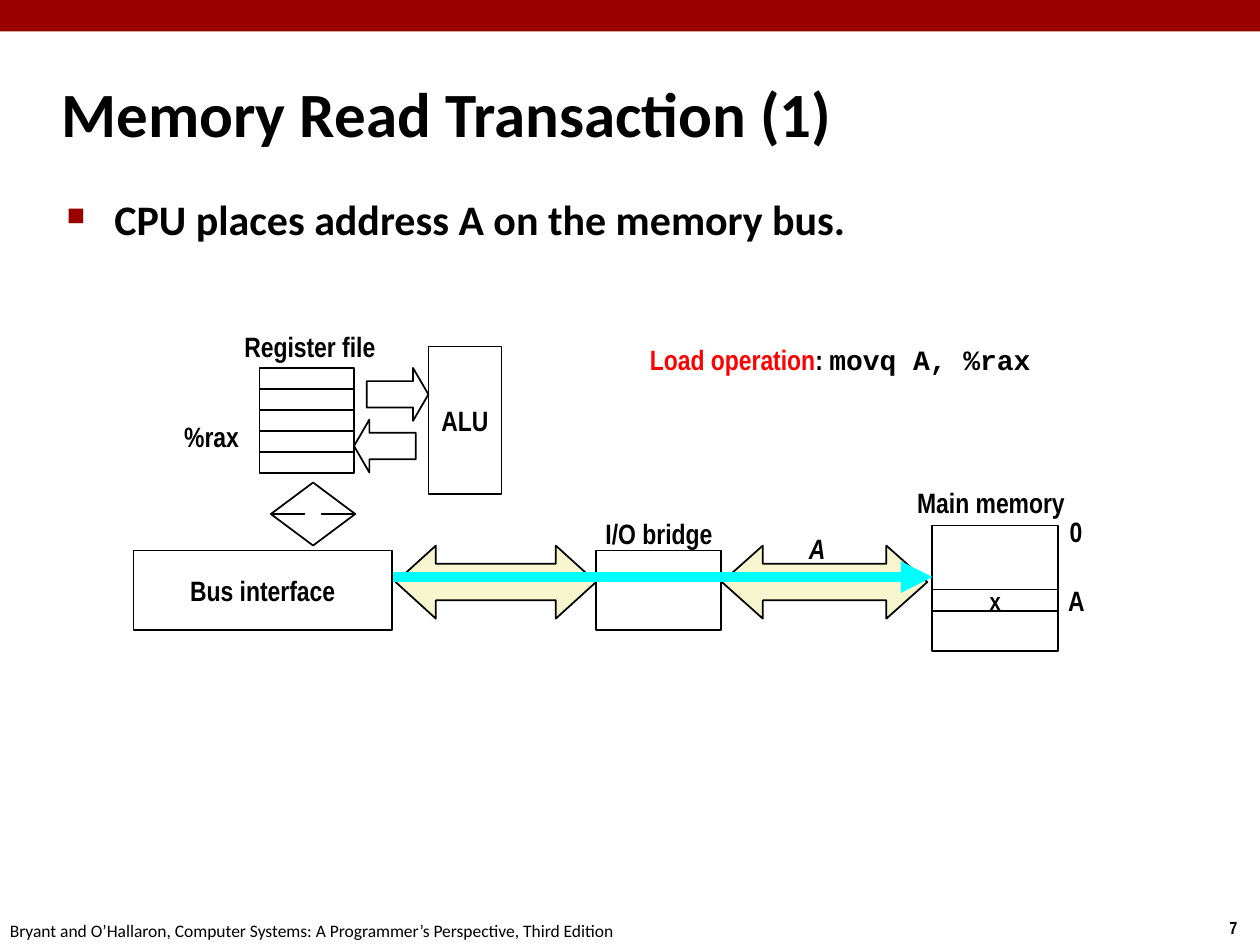
from lxml.etree import SubElement
from pptx import Presentation
from pptx.dml.color import RGBColor
from pptx.enum.shapes import MSO_CONNECTOR, MSO_SHAPE
from pptx.enum.text import MSO_ANCHOR, PP_ALIGN
from pptx.oxml.ns import qn
from pptx.util import Inches, Pt

BLACK, RED, CREAM, CYAN, WHITE = "000000", "990000", "F7F5CD", "00FFFF", "FFFFFF"
NARROW = "Arial Narrow"
LEFT, CENTER = PP_ALIGN.LEFT, PP_ALIGN.CENTER
TOP, MIDDLE = MSO_ANCHOR.TOP, MSO_ANCHOR.MIDDLE

TITLE = "Memory Read Transaction (1)"
BULLET = "CPU places address A on the memory bus."
FOOTER = "Bryant and O’Hallaron, Computer Systems: A Programmer’s Perspective, Third Edition"
PAGE_NUMBER = "7"
LOAD_OPERATION = [
    ("Load operation", NARROW, "FF0000"),
    (": ", NARROW, BLACK),
    ("movq A, %rax", "Courier New", BLACK),
]

MAIN_MEMORY = (7.4, 4.17, 1, 1)
IO_BRIDGE = (4.73, 4.37, 0.99, 0.63)
BUS_INTERFACE = (1.06, 4.37, 2.05, 0.63)
MEMORY_WORD = (7.4, 4.68, 1, 0.17)
ALU = (3.4, 2.75, 0.58, 1.17)
REGISTER_LEFT, REGISTER_TOP, REGISTER_WIDTH = 2.06, 2.92, 0.75
REGISTER_COUNT, REGISTER_HEIGHT = 5, 1 / 6

ARROWS = [
    (MSO_SHAPE.LEFT_RIGHT_ARROW, (5.73, 4.33, 1.63, 0.58), (0.5, 0.56), CREAM),
    (MSO_SHAPE.LEFT_RIGHT_ARROW, (3.14, 4.33, 1.59, 0.58), (0.5, 0.55), CREAM),
    (MSO_SHAPE.RIGHT_ARROW, (2.91, 2.92, 0.49, 0.42), (0.5, 0.29), None),
    (MSO_SHAPE.LEFT_ARROW, (2.81, 3.33, 0.49, 0.42), (0.5, 0.29), None),
    (MSO_SHAPE.UP_DOWN_ARROW, (2.15, 3.83, 0.67, 0.5), (0.5, 0.2), None),
]

LABELS = [
    ("Register file", (1.83, 2.56, 1.26, 0.37), CENTER, False),
    ("%rax", (1.36, 3.28, 0.64, 0.37), CENTER, False),
    ("I/O bridge", (4.7, 4.05, 1.06, 0.37), CENTER, False),
    ("Main memory", (7.17, 3.8, 1.39, 0.37), CENTER, False),
    ("A", (6.3, 4.17, 0.37, 0.37), CENTER, True),
    ("0", (8.39, 4.03, 0.32, 0.37), LEFT, False),
    ("A", (8.38, 4.58, 0.36, 0.37), LEFT, False),
]


def color(value):
    return RGBColor.from_string(value)


def lengths(values):
    return [Inches(value) for value in values]


def write(shape, runs, size, alignment=LEFT, anchor=TOP, bold=True, italic=False, wrap=False):
    frame = shape.text_frame
    frame.word_wrap = wrap
    frame.vertical_anchor = anchor
    paragraph = frame.paragraphs[0]
    paragraph.alignment = alignment
    for text, font_name, font_color in runs:
        run = paragraph.add_run()
        run.text = text
        run.font.name = font_name
        run.font.size = Pt(size)
        run.font.bold = bold
        run.font.italic = italic
        run.font.color.rgb = color(font_color)
    return paragraph


def add_text(slide, box, runs, size, **style):
    return write(slide.shapes.add_textbox(*lengths(box)), runs, size, **style)


def add_outline(slide, kind, box, fill=None, line=BLACK):
    shape = slide.shapes.add_shape(kind, *lengths(box))
    shape.shadow.inherit = False
    if fill:
        shape.fill.solid()
        shape.fill.fore_color.rgb = color(fill)
    else:
        shape.fill.background()
    if line:
        shape.line.color.rgb = color(line)
        shape.line.width = Pt(1)
    else:
        shape.line.fill.background()
    return shape


def add_box(slide, box, text=None, size=16, fill=None):
    shape = add_outline(slide, MSO_SHAPE.RECTANGLE, box, fill)
    if text:
        write(shape, [(text, NARROW, BLACK)], size, alignment=CENTER, anchor=MIDDLE)


def add_bullet(paragraph, character, bullet_color, percent, indent):
    properties = paragraph._p.get_or_add_pPr()
    properties.set("marL", str(Inches(indent)))
    properties.set("indent", str(-Inches(indent)))
    bullet_fill = SubElement(properties, qn("a:buClr"))
    SubElement(bullet_fill, qn("a:srgbClr"), val=bullet_color)
    SubElement(properties, qn("a:buSzPct"), val=str(percent * 1000))
    SubElement(properties, qn("a:buChar"), char=character)


def add_address_arrow(slide, start, end):
    connector = slide.shapes.add_connector(MSO_CONNECTOR.STRAIGHT, *lengths(start + end))
    connector.line.color.rgb = color(CYAN)
    connector.line.width = Pt(6)
    SubElement(connector.line._get_or_add_ln(), qn("a:tailEnd"), type="triangle")
    SubElement(connector._element.spPr, qn("a:effectLst"))


def main():
    presentation = Presentation()
    presentation.slide_width = Inches(10)
    presentation.slide_height = Inches(7.5)
    slide = presentation.slides.add_slide(presentation.slide_layouts[6])

    add_outline(slide, MSO_SHAPE.RECTANGLE, (0, 0, 10, 0.25), RED, None)
    add_text(slide, (9.66, 7.23, 0.34, 0.27), [(PAGE_NUMBER, NARROW, BLACK)], 10)
    add_text(slide, (-0.02, 7.25, 5.08, 0.27), [(FOOTER, "Calibri", BLACK)], 10, bold=False)
    add_text(slide, (0.39, 0.48, 8.3, 0.83), [(TITLE, "Calibri", BLACK)], 36,
             anchor=MIDDLE, wrap=True)
    body = add_text(slide, (0.43, 1.49, 8.64, 5.44), [(BULLET, "Calibri", BLACK)], 24, wrap=True)
    add_bullet(body, "■", RED, 60, 0.38)

    add_box(slide, MAIN_MEMORY)
    add_box(slide, IO_BRIDGE)
    for index in range(REGISTER_COUNT):
        top = REGISTER_TOP + index * REGISTER_HEIGHT
        add_box(slide, (REGISTER_LEFT, top, REGISTER_WIDTH, REGISTER_HEIGHT))
    for kind, box, adjustments, fill in ARROWS:
        arrow = add_outline(slide, kind, box, fill)
        for index, value in enumerate(adjustments):
            arrow.adjustments[index] = value
    add_box(slide, ALU, "ALU")
    add_address_arrow(slide, (3.06, 4.58), (MAIN_MEMORY[0], 4.58))
    add_box(slide, BUS_INTERFACE, "Bus interface", fill=WHITE)
    add_box(slide, MEMORY_WORD, "x", size=14)

    for text, box, alignment, italic in LABELS:
        add_text(slide, box, [(text, NARROW, BLACK)], 16,
                 alignment=alignment, anchor=MIDDLE, italic=italic)
    add_text(slide, (5.06, 2.67, 3.26, 0.64), LOAD_OPERATION, 16)

    presentation.save("out.pptx")


if __name__ == "__main__":
    main()
